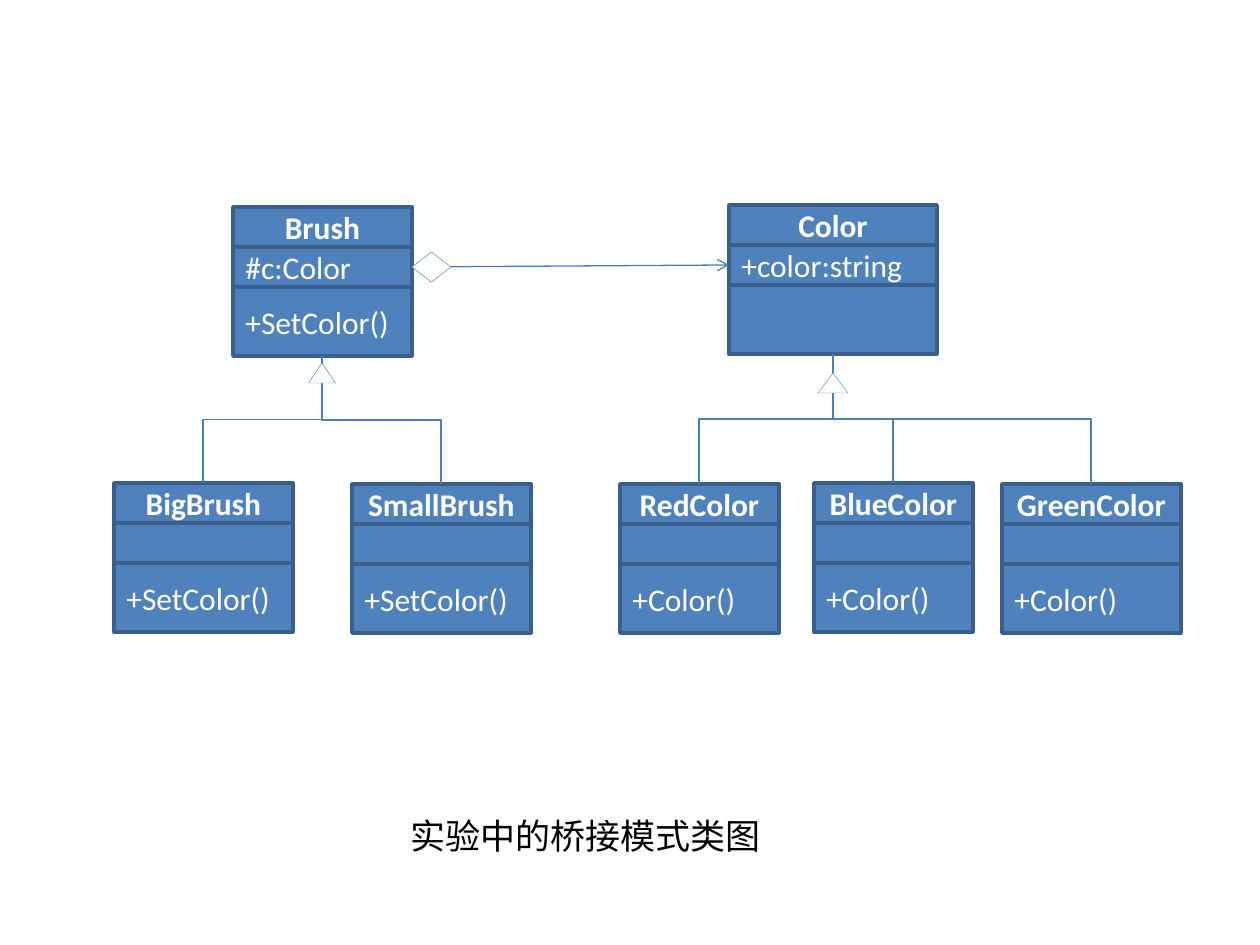
from dataclasses import dataclass

import pptx
import pptx.dml.color
import pptx.enum.shapes
import pptx.enum.text
import pptx.oxml
import pptx.oxml.ns
import pptx.util

SHAPE = pptx.enum.shapes.MSO_SHAPE
CONNECTOR = pptx.enum.shapes.MSO_CONNECTOR
ALIGN = pptx.enum.text.PP_ALIGN
NS = pptx.oxml.ns.nsdecls("a")

ROW_HEIGHTS = (40, 40, 69)  # name, attributes, operations
CLASS_HEIGHT = sum(ROW_HEIGHTS)


@dataclass(frozen=True)
class Theme:
    box: str = "4F81BD"
    border: str = "3A5F8C"
    link: str = "4B7EBC"
    white: str = "FFFFFF"
    black: str = "000000"
    font: str = "Calibri"
    cjk_font: str = "Noto Sans CJK SC"
    class_size: int = 18
    caption_size: int = 20
    border_width: float = 2
    link_width: float = 0.75
    symbol_width: float = 0.25


@dataclass(frozen=True)
class UmlClass:
    name: str
    x: int
    y: int
    w: int
    attribute: str = ""
    operation: str = ""

    @property
    def center(self):
        return self.x + self.w // 2

    @property
    def bottom(self):
        return self.y + CLASS_HEIGHT


THEME = Theme()

BRUSH = UmlClass("Brush", 233, 207, 179, "#c:Color", "+SetColor()")
COLOR = UmlClass("Color", 729, 205, 208, "+color:string")
BRUSH_KINDS = (
    UmlClass("BigBrush", 114, 483, 179, operation="+SetColor()"),
    UmlClass("SmallBrush", 352, 484, 179, operation="+SetColor()"),
)
COLOR_KINDS = (
    UmlClass("RedColor", 620, 484, 159, operation="+Color()"),
    UmlClass("BlueColor", 814, 483, 159, operation="+Color()"),
    UmlClass("GreenColor", 1002, 484, 179, operation="+Color()"),
)


def px(n):
    return pptx.util.Emu(round(n * 914400 / 126))


def rgb(value):
    return pptx.dml.color.RGBColor.from_string(value)


def style_line(line, color, width):
    line.color.rgb = rgb(color)
    line.width = pptx.util.Pt(width)


def write(p, text, font, size, color, bold=False, align=ALIGN.LEFT):
    p.text = text
    p.alignment = align
    p.font.name = font
    p.font.size = pptx.util.Pt(size)
    p.font.bold = bold
    p.font.color.rgb = rgb(color)


def add_shape(slide, kind, x, y, w, h, fill, line, width):
    sp = slide.shapes.add_shape(kind, px(x), px(y), px(w), px(h))
    sp.shadow.inherit = False
    sp.fill.solid()
    sp.fill.fore_color.rgb = rgb(fill)
    style_line(sp.line, line, width)
    return sp


def add_class(slide, uml):
    """Draw the three stacked compartments and return the attribute one."""
    rows = []
    y = uml.y
    for text, h in zip((uml.name, uml.attribute, uml.operation), ROW_HEIGHTS):
        sp = add_shape(slide, SHAPE.RECTANGLE, uml.x, y, uml.w, h,
                       THEME.box, THEME.border, THEME.border_width)
        if text:
            is_name = not rows
            write(sp.text_frame.paragraphs[0], text, THEME.font,
                  THEME.class_size, THEME.white, bold=is_name,
                  align=ALIGN.CENTER if is_name else ALIGN.LEFT)
        rows.append(sp)
        y += h
    return rows[1]


def add_connector(slide, kind, x1, y1, x2, y2):
    c = slide.shapes.add_connector(kind, px(x1), px(y1), px(x2), px(y2))
    style_line(c.line, THEME.link, THEME.link_width)
    c._element.spPr.append(pptx.oxml.parse_xml(f"<a:effectLst {NS}/>"))
    return c


def add_branch(slide, parent, child):
    """Draw an elbow that leaves the parent downwards: a turned connector."""
    dx, dy = child.center - parent.center, child.y - parent.bottom
    mid_x, mid_y = parent.center + dx / 2, parent.bottom + dy / 2
    side = 1 if dx > 0 else -1
    reach = side * dy / 2
    c = add_connector(slide, CONNECTOR.ELBOW,
                      mid_x + reach, mid_y - abs(dx) / 2,
                      mid_x - reach, mid_y + abs(dx) / 2)
    degrees = 270 if dx > 0 else 90
    c._element.spPr.xfrm.set("rot", str(degrees * 60000))


def add_symbol(slide, kind, x, y, w, h):
    add_shape(slide, kind, x, y, w, h,
              THEME.white, THEME.box, THEME.symbol_width)


def add_inheritance(slide, parent, children, gap, w):
    for child in children:
        add_branch(slide, parent, child)
    add_symbol(slide, SHAPE.ISOSCELES_TRIANGLE, parent.center - w / 2,
               parent.bottom + gap, w, 20)


def add_aggregation(slide, owner, owner_row, part, part_row):
    row_mid = ROW_HEIGHTS[0] + ROW_HEIGHTS[1] / 2
    x, y = owner.x + owner.w, owner.y + row_mid
    c = add_connector(slide, CONNECTOR.STRAIGHT, x, y, part.x, part.y + row_mid)
    c.begin_connect(owner_row, 3)
    c.end_connect(part_row, 1)
    c.line._get_or_add_ln().append(
        pptx.oxml.parse_xml(f'<a:tailEnd {NS} type="arrow"/>'))
    add_symbol(slide, SHAPE.FLOWCHART_DECISION, x, y - 15, 39, 30)


def add_caption(slide, text, x, y, w, h):
    sp = slide.shapes.add_textbox(px(x), px(y), px(w), px(h))
    tf = sp.text_frame
    tf.word_wrap = False
    tf.auto_size = pptx.enum.text.MSO_AUTO_SIZE.SHAPE_TO_FIT_TEXT
    p = tf.paragraphs[0]
    write(p, text, THEME.cjk_font, THEME.caption_size, THEME.black)
    # East Asian text takes its own typeface
    p.font._element.append(pptx.oxml.parse_xml(
        f'<a:ea {NS} typeface="{THEME.cjk_font}"/>'))


def main():
    prs = pptx.Presentation()
    prs.slide_width, prs.slide_height = px(1260), px(945)
    slide = prs.slides.add_slide(prs.slide_layouts[6])

    # Classes
    brush_row = add_class(slide, BRUSH)
    color_row = add_class(slide, COLOR)
    for uml in BRUSH_KINDS + COLOR_KINDS:
        add_class(slide, uml)

    # Relations
    add_inheritance(slide, BRUSH, BRUSH_KINDS, gap=7, w=27)
    add_inheritance(slide, COLOR, COLOR_KINDS, gap=19, w=30)
    add_aggregation(slide, BRUSH, brush_row, COLOR, color_row)

    # Caption
    add_caption(slide, "实验中的桥接模式类图", 398, 808, 379, 55)

    prs.save("out.pptx")


if __name__ == "__main__":
    main()
